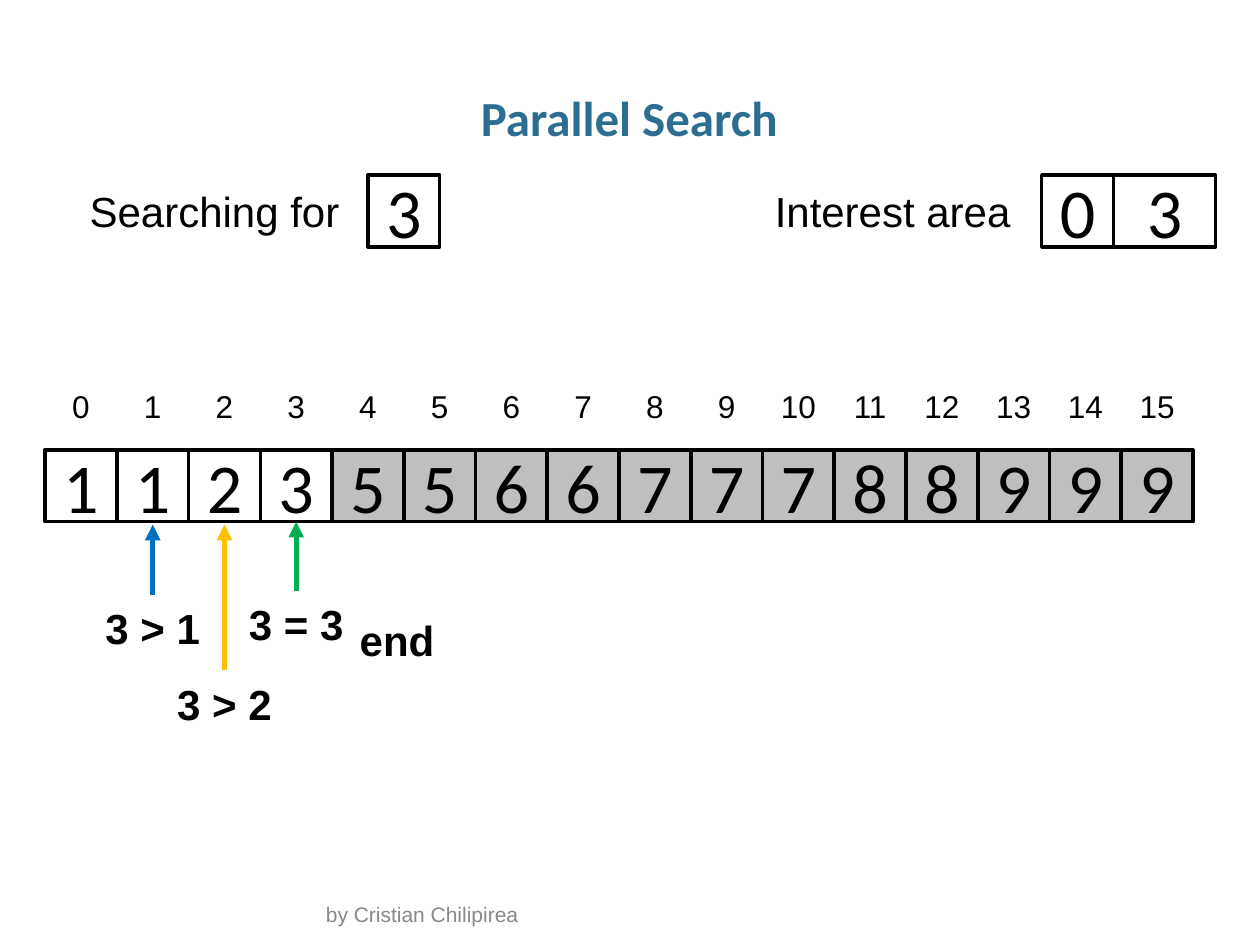
from dataclasses import dataclass

from lxml.etree import SubElement
from pptx import Presentation
from pptx.dml.color import RGBColor
from pptx.enum.shapes import MSO_CONNECTOR as Link, MSO_SHAPE as Preset
from pptx.enum.text import MSO_ANCHOR as Anchor, PP_ALIGN as Align
from pptx.oxml.ns import qn
from pptx.util import Cm, Pt

BLACK = "000000"
GREY = "BFBFBF"
VALUES = [1, 1, 2, 3, 5, 5, 6, 6, 7, 7, 7, 8, 8, 9, 9, 9]
INTEREST_END = 3
ROW_LEFT = 0.91
ROW_TOP = 9.07
SIDE = 23.14 / len(VALUES)
HEADER_TOP = 3.53
INDEX_TOP = 7.67
LABEL_HEIGHT = 1.27


@dataclass
class Label:
    text: str
    left: float
    top: float
    width: float
    height: float = LABEL_HEIGHT
    size: int = 24
    font: str = "Arial"
    color: str = BLACK
    bold: bool = False
    align: Align = Align.CENTER
    anchor: Anchor = Anchor.TOP
    wrap: bool = False


@dataclass
class Cell:
    value: int
    left: float
    top: float
    width: float = SIDE
    fill: str | None = None


@dataclass
class Probe:
    index: int
    text: str
    color: str
    start: float
    gap: float


def rgb(color: str) -> RGBColor:
    return RGBColor.from_string(color)


def center(index: int) -> float:
    return ROW_LEFT + (index + 0.5) * SIDE


def add_text(paragraph, text: str, size: int, font: str, color: str, bold: bool = False) -> None:
    span = paragraph.add_run()
    span.text = text
    span.font.size = Pt(size)
    span.font.name = font
    span.font.bold = bold
    span.font.color.rgb = rgb(color)


def draw_label(page, label: Label):
    box = page.shapes.add_textbox(Cm(label.left), Cm(label.top), Cm(label.width), Cm(label.height))
    frame = box.text_frame
    frame.word_wrap = label.wrap
    frame.vertical_anchor = label.anchor
    paragraph = frame.paragraphs[0]
    paragraph.alignment = label.align
    add_text(paragraph, label.text, label.size, label.font, label.color, label.bold)
    return box


def draw_cell(page, cell: Cell):
    box = page.shapes.add_shape(
        Preset.RECTANGLE, Cm(cell.left), Cm(cell.top), Cm(cell.width), Cm(SIDE)
    )
    box.shadow.inherit = False
    if cell.fill:
        box.fill.solid()
        box.fill.fore_color.rgb = rgb(cell.fill)
    else:
        box.fill.background()
    box.line.color.rgb = rgb(BLACK)
    box.line.width = Pt(2)
    box.text_frame.vertical_anchor = Anchor.MIDDLE
    paragraph = box.text_frame.paragraphs[0]
    paragraph.alignment = Align.CENTER
    add_text(paragraph, str(cell.value), 40, "Calibri", BLACK)
    return box


def draw_probe(page, probe: Probe, target) -> None:
    middle = center(probe.index)
    tip = ROW_TOP + SIDE + probe.gap
    arrow = page.shapes.add_connector(
        Link.STRAIGHT, Cm(middle), Cm(probe.start), Cm(middle), Cm(tip)
    )
    if not probe.gap:
        arrow.end_connect(target, 2)
    arrow.line.color.rgb = rgb(probe.color)
    arrow.line.width = Pt(3)
    SubElement(arrow.line._get_or_add_ln(), qn("a:tailEnd"), type="triangle")
    SubElement(arrow._element.spPr, qn("a:effectLst"))
    width = 2.44
    draw_label(page, Label(probe.text, middle - width / 2, probe.start + 0.04, width, bold=True))


def main() -> None:
    deck = Presentation()
    deck.slide_width, deck.slide_height = Cm(25.4), Cm(19.05)
    page = deck.slides.add_slide(deck.slide_layouts[6])

    draw_label(page, Label("by Cristian Chilipirea", 6.32, 18.19, 12.75, 0.61, 12,
                           color="898989", align=Align.LEFT, anchor=Anchor.BOTTOM, wrap=True))
    title = draw_label(page, Label("Parallel Search", 0.86, 1.73, 23.65, LABEL_HEIGHT, 28,
                                   "Calibri", "2C6D92", bold=True, wrap=True))
    title.text_frame.margin_left = title.text_frame.margin_right = 0
    title.text_frame.paragraphs[0].line_spacing = 0.95

    cells = []
    for index, value in enumerate(VALUES):
        fill = GREY if index > INTEREST_END else None
        cells.append(draw_cell(page, Cell(value, ROW_LEFT + index * SIDE, ROW_TOP, fill=fill)))
        width = 0.87 if index < 10 else 1.21
        draw_label(page, Label(str(index), center(index) - width / 2, INDEX_TOP, width, 1.02, 18))

    for cell in (
        Cell(3, 7.42, HEADER_TOP),
        Cell(0, 21, HEADER_TOP),
        Cell(3, 21 + SIDE, HEADER_TOP, 2.06),
    ):
        draw_cell(page, cell)

    for label in (
        Label("Searching for", 1.52, 3.61, 5.61),
        Label("Interest area", 15.34, 3.61, 5.31),
        Label("end", 6.99, 12.27, 2.03, bold=True),
    ):
        draw_label(page, label)

    for probe in (
        Probe(1, "3 > 1", "0070C0", 11.99, 0.06),
        Probe(2, "3 > 2", "FFC000", 13.51, 0.06),
        Probe(3, "3 = 3", "00B050", 11.91, 0),
    ):
        draw_probe(page, probe, cells[probe.index])

    deck.save("out.pptx")


if __name__ == "__main__":
    main()
